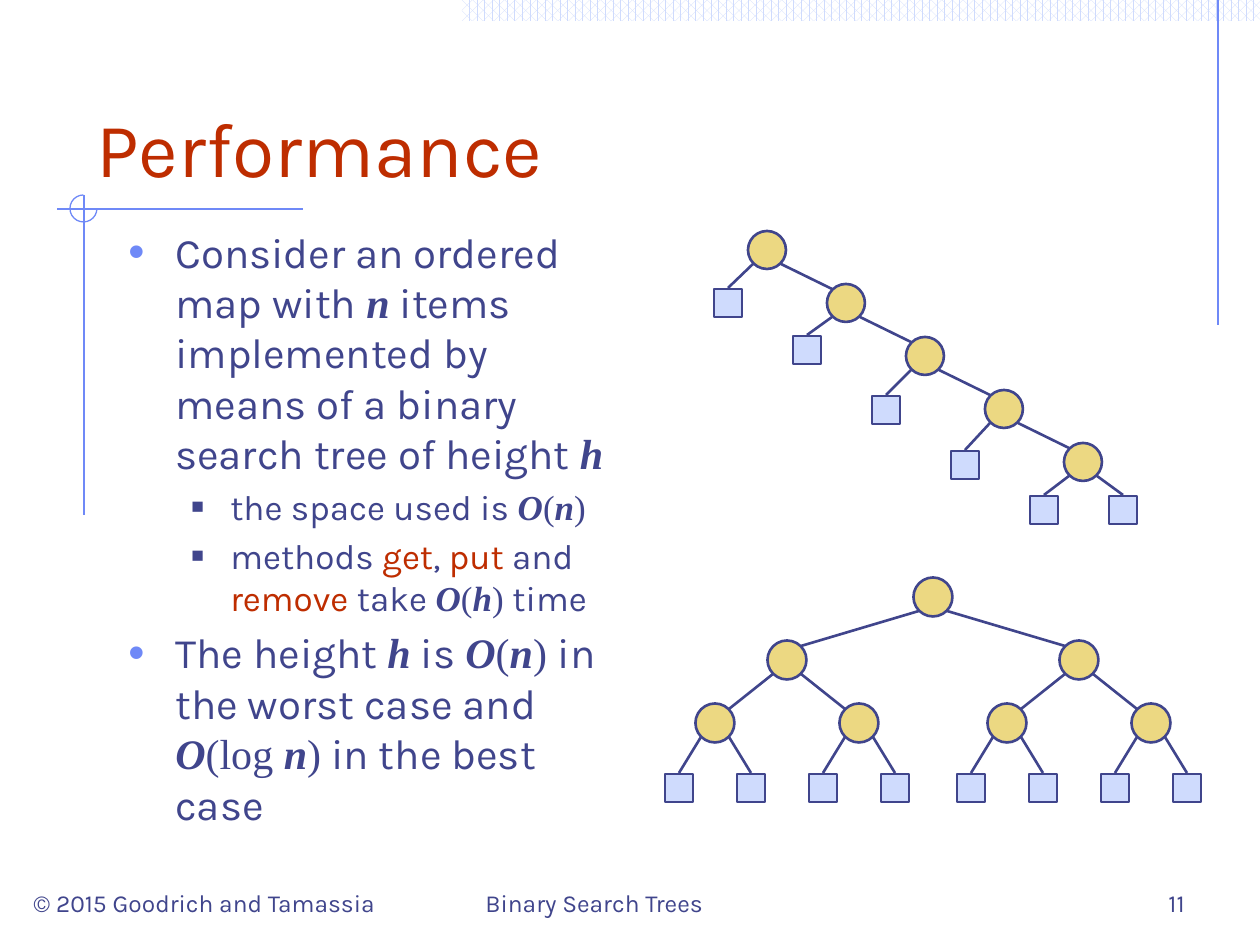
"""Builds the slide on the performance of binary search trees."""
from lxml.etree import SubElement as Sub
from pptx import Presentation
from pptx.dml.color import RGBColor as Rgb
from pptx.enum.dml import MSO_PATTERN as Pat
from pptx.enum.shapes import MSO_CONNECTOR as Conn, MSO_SHAPE as Geo
from pptx.enum.text import MSO_ANCHOR as Anchor, PP_ALIGN as Align
from pptx.oxml.ns import qn
from pptx.util import Pt

COLORS = {"ink": "40458C", "red": "BE2D00", "rule": "6F89F7",
          "node": "ECD882", "leaf": "CFDBFD", "back": "FFFFFF"}
SANS, SERIF = "Karla", "Times New Roman"
LEVELS = [
    {"size": 24, "left": 47, "hang": 47, "gap": 5, "mark": "•", "tint": "rule", "pct": 110},
    {"size": 20, "left": 102, "hang": 39, "gap": 4, "mark": "■", "tint": "ink", "pct": 60},
]
BODY = [
    (0, [("Consider an ordered map with ", ""), ("n", "math"),
         (" items implemented by means of a binary search tree of height ", ""),
         ("h", "math")]),
    (1, [("the space used is ", ""), ("O", "math"), ("(", "serif"), ("n", "math"),
         (")", "serif")]),
    (1, [("methods ", ""), ("get", "red"), (", ", ""), ("put ", "red"), ("and ", ""),
         ("remove", "red"), (" take ", ""), ("O", "math"), ("(", "serif"),
         ("h", "math"), (") ", "serif"), ("time", "")]),
    (0, [("The height ", ""), ("h", "math"), (" is ", ""), ("O", "math"),
         ("(", "serif"), ("n", "math"), (") ", "serif"),
         ("in the worst case and ", ""), ("O", "math"), ("(log ", "serif"),
         ("n", "math"), (")", "serif"), (" in the best case", "")]),
]


def emu(px):
    return round(px * 914400 / 126)


def rgb(name):
    return Rgb.from_string(COLORS[name])


def line(slide, start, end, color="ink", width=1.5):
    item = slide.shapes.add_connector(Conn.STRAIGHT, *map(emu, start + end))
    item.line.color.rgb = rgb(color)
    item.line.width = Pt(width)
    Sub(item._element.spPr, qn("a:effectLst"))


def shape(slide, kind, box, fill=None, color="ink", width=1.5):
    item = slide.shapes.add_shape(kind, *map(emu, box))
    item.shadow.inherit = False
    if fill:
        item.fill.solid()
        item.fill.fore_color.rgb = rgb(fill)
    else:
        item.fill.background()
    item.line.color.rgb = rgb(color)
    item.line.width = Pt(width)
    return item


def style(run, size, color="ink", face=SANS, strong=False):
    font = run.font
    font.size, font.name = Pt(size), face
    font.bold = font.italic = strong
    font.color.rgb = rgb(color)


def frame(slide, box, anchor):
    text = slide.shapes.add_textbox(*map(emu, box)).text_frame
    text.word_wrap = True
    text.vertical_anchor = anchor
    return text


def label(slide, box, words, size=14, color="ink", align=Align.LEFT):
    text = frame(slide, box, Anchor.BOTTOM)
    text.text = words
    para = text.paragraphs[0]
    para.alignment = align
    style(para.runs[0], size, color)


def bullet(para, level):
    props = para._p.get_or_add_pPr()
    props.set("marL", str(emu(level["left"])))
    props.set("indent", str(-emu(level["hang"])))
    Sub(Sub(props, qn("a:buClr")), qn("a:srgbClr"), val=COLORS[level["tint"]])
    Sub(props, qn("a:buSzPct"), val=str(level["pct"] * 1000))
    Sub(props, qn("a:buFont"), typeface="Arial")
    Sub(props, qn("a:buChar"), char=level["mark"])


def body(slide, box):
    text = frame(slide, box, Anchor.TOP)
    for i, (depth, parts) in enumerate(BODY):
        para = text.add_paragraph() if i else text.paragraphs[0]
        level = LEVELS[depth]
        bullet(para, level)
        if i:
            para.space_before = Pt(level["gap"])
        for words, kind in parts:
            run = para.add_run()
            run.text = words
            style(run, level["size"], "red" if kind == "red" else "ink",
                  SERIF if kind in ("math", "serif") else SANS, kind == "math")


def node(slide, x, y, size):
    shape(slide, Geo.OVAL, (x - size / 2, y - size / 2, size, size), "node")


def leaf(slide, x, y):
    shape(slide, Geo.RECTANGLE, (x - 14, y - 14, 28, 28), "leaf")


def edge(slide, x, y, to_x, to_y, inner):
    side = 14 if to_x > x else -14
    end = (to_x - side, to_y - 14) if inner else (to_x, to_y - 15)
    line(slide, (x + side, y + 14), end)


def chain(slide, x, y, leaves):
    last = len(leaves) - 1
    for i, low in enumerate(leaves):
        edge(slide, x, y, x - 39, low, False)
        leaf(slide, x - 39, low)
        if i < last:
            edge(slide, x, y, x + 79, y + 53, True)
        else:
            edge(slide, x, y, x + 40, low, False)
            leaf(slide, x + 40, low)
        node(slide, x, y, 38)
        x, y = x + 79, y + 53


def tree(slide, x, rows, spans):
    if not spans:
        leaf(slide, x, rows[0])
        return
    for side in (-1, 1):
        kid = x + side * spans[0]
        edge(slide, x, rows[0], kid, rows[1], len(spans) > 1)
        tree(slide, kid, rows[1:], spans[1:])
    node(slide, x, rows[0], 39)


def decor(slide):
    band = shape(slide, Geo.RECTANGLE, (462, 0, 798, 21))
    band.fill.patterned()
    band.fill.pattern = Pat.PERCENT_60
    band.fill.fore_color.rgb = rgb("leaf")
    band.fill.back_color.rgb = rgb("back")
    band.line.fill.background()
    for start, end in [((1218, 0), (1218, 325)), ((303, 209), (57, 209)),
                       ((84, 195), (84, 515))]:
        line(slide, start, end, "rule", 0.75)
    arc = shape(slide, Geo.ARC, (70, 195, 27, 27), None, "rule", 0.75)
    arc.adjustments[0], arc.adjustments[1] = 0, 162


def main():
    deck = Presentation()
    deck.slide_width, deck.slide_height = emu(1260), emu(945)
    slide = deck.slides.add_slide(deck.slide_layouts[6])
    decor(slide)
    label(slide, (84, 42, 1103, 157), "Performance", 44, "red")
    body(slide, (116, 220, 514, 640))
    chain(slide, 767, 250, [303, 350, 410, 465, 510])
    tree(slide, 933, [597, 660, 723, 788], [146, 72, 36])
    label(slide, (21, 861, 473, 63), "© 2015 Goodrich and Tamassia")
    label(slide, (473, 861, 399, 63), "Binary Search Trees")
    label(slide, (903, 861, 294, 63), "11", align=Align.RIGHT)
    deck.save("out.pptx")


if __name__ == "__main__":
    main()
